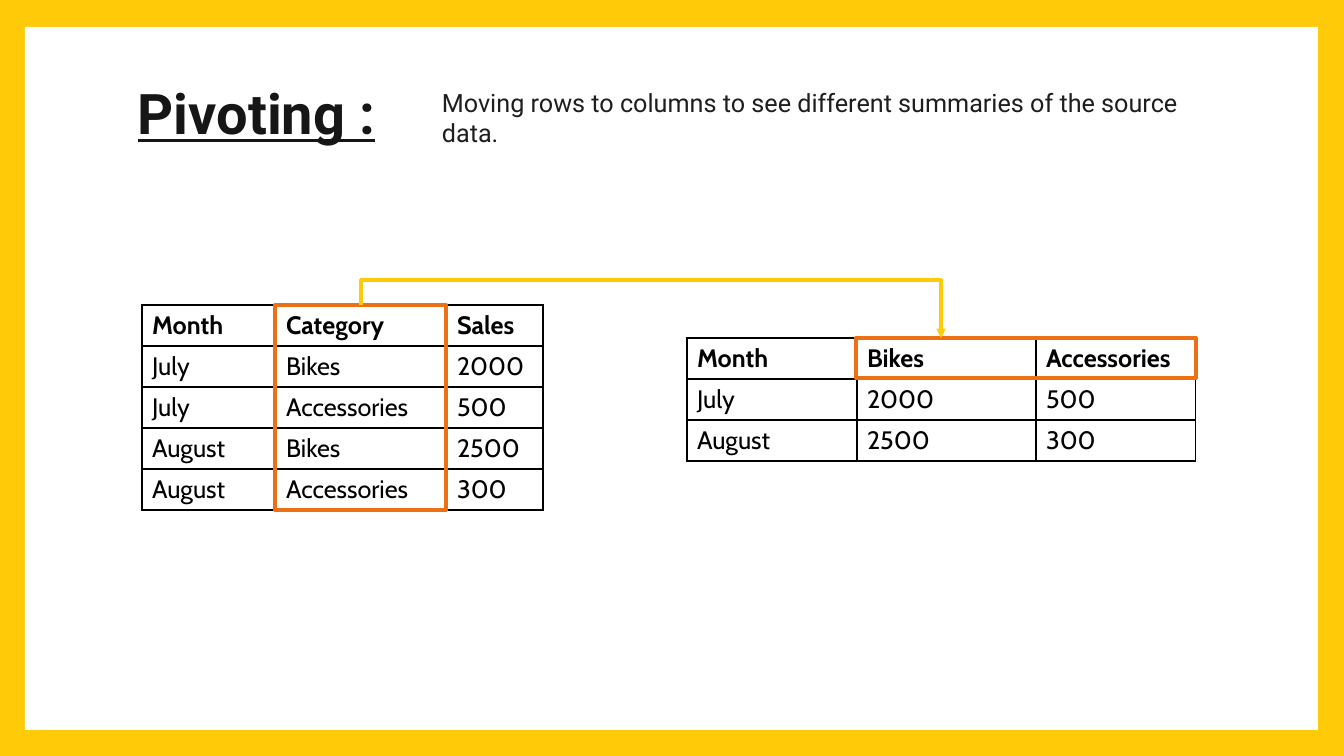
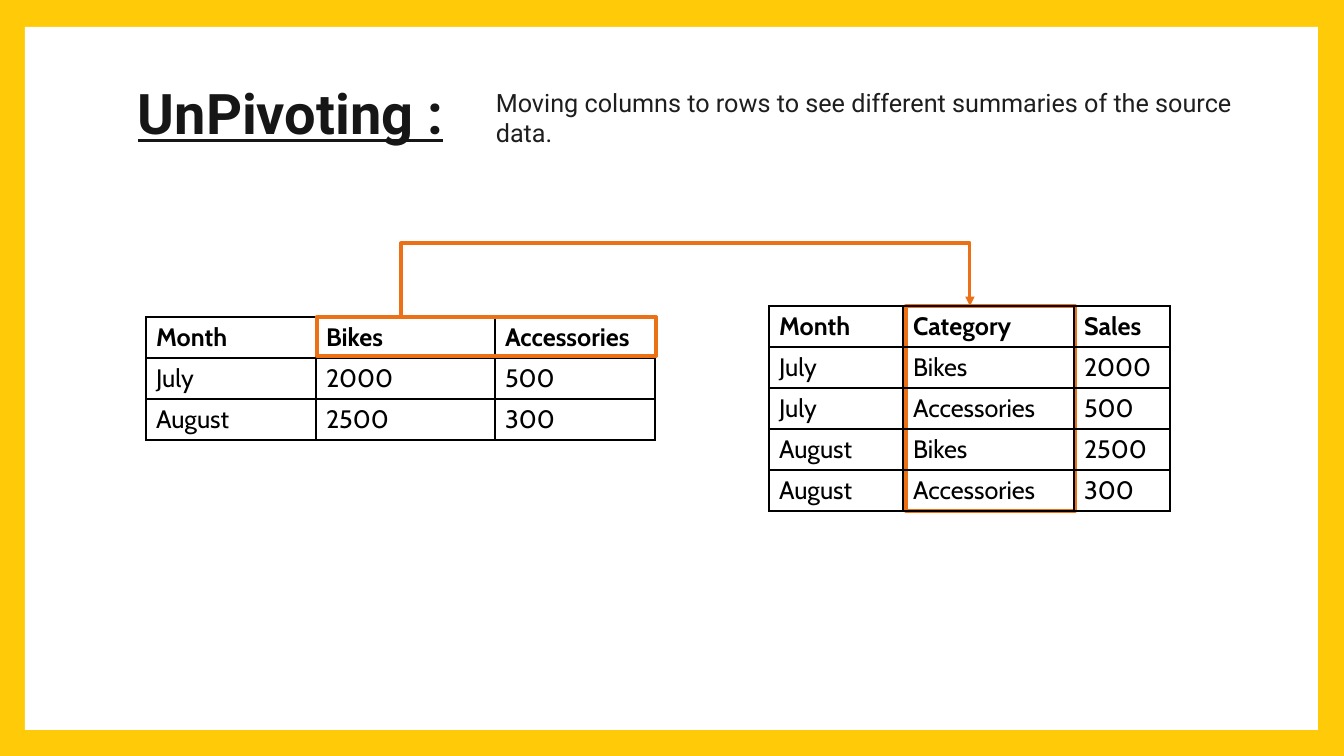
from dataclasses import dataclass

from lxml import etree
from pptx import Presentation
from pptx.dml.color import RGBColor
from pptx.enum.shapes import MSO_CONNECTOR as Link, MSO_SHAPE as Form
from pptx.enum.text import MSO_ANCHOR as Anchor
from pptx.oxml.ns import qn
from pptx.slide import Slide
from pptx.util import Emu, Pt

WIDTH, HEIGHT = 1344, 756
SCALE = 12192000 / WIDTH

YELLOW, ORANGE = "FFCA08", "EC7016"
WHITE, BLACK = "FFFFFF", "000000"
TITLE, BODY = "161616", "1E1E1E"
HEAD_FONT, GRID_FONT = "Roboto", "Cabin"
ROW = 41

LONG = [
    ["Month", "Category", "Sales"],
    ["July", "Bikes", "2000"],
    ["July", "Accessories", "500"],
    ["August", "Bikes", "2500"],
    ["August", "Accessories", "300"],
]
WIDE = [
    ["Month", "Bikes", "Accessories"],
    ["July", "2000", "500"],
    ["August", "2500", "300"],
]
LONG_COLS = [134, 171, 96]
WIDE_COLS = [170, 179, 160]


@dataclass
class Grid:
    left: int
    top: int
    cols: list[int]
    rows: list[list[str]]


@dataclass
class Box:
    left: int
    top: int
    width: int
    height: int


@dataclass
class Arrow:
    start: tuple[int, int]
    end: tuple[int, int]
    peak: int
    color: str


@dataclass
class Page:
    title: str
    note: str
    note_left: int
    layers: list[Grid | Box | Arrow]


PAGES = [
    Page(
        "Pivoting :",
        "Moving rows to columns to see different summaries of the source data.",
        432,
        [
            Grid(142, 305, LONG_COLS, LONG),
            Grid(687, 338, WIDE_COLS, WIDE),
            Box(275, 305, 171, 205),
            Box(856, 338, 340, 40),
            Arrow((361, 305), (941, 338), 280, YELLOW),
        ],
    ),
    Page(
        "UnPivoting :",
        "Moving columns to rows to see different summaries of the source data.",
        486,
        [
            Grid(146, 317, WIDE_COLS, WIDE),
            Box(317, 317, 339, 39),
            Box(906, 306, 169, 205),
            Arrow((401, 317), (970, 306), 243, ORANGE),
            Grid(769, 306, LONG_COLS, LONG),
        ],
    ),
]


def px(size: float) -> Emu:
    return Emu(round(size * SCALE))


def rgb(code: str) -> RGBColor:
    return RGBColor.from_string(code)


def style(para, font: str, size: int, color: str, bold: bool = False) -> None:
    for run in para.runs:
        run.font.name = font
        run.font.size = Pt(size)
        run.font.bold = bold
        run.font.color.rgb = rgb(color)


def add_rect(slide: Slide, box: Box, fill: str = "", line: str = "") -> None:
    rect = slide.shapes.add_shape(
        Form.RECTANGLE, px(box.left), px(box.top), px(box.width), px(box.height))
    rect.shadow.inherit = False
    if fill:
        rect.fill.solid()
        rect.fill.fore_color.rgb = rgb(fill)
    else:
        rect.fill.background()
    if line:
        rect.line.color.rgb = rgb(line)
        rect.line.width = Pt(3)
    else:
        rect.line.fill.background()


def add_text(slide: Slide, box: Box, text: str):
    frame = slide.shapes.add_textbox(
        px(box.left), px(box.top), px(box.width), px(box.height)).text_frame
    frame.word_wrap = True
    frame.text = text
    return frame


def add_border(cell) -> None:
    props = cell._tc.get_or_add_tcPr()
    for spot, side in enumerate(("lnL", "lnR", "lnT", "lnB")):
        line = etree.Element(qn(f"a:{side}"), w=str(Pt(1)))
        fill = etree.SubElement(line, qn("a:solidFill"))
        etree.SubElement(fill, qn("a:srgbClr"), val=BLACK)
        props.insert(spot, line)


def add_grid(slide: Slide, grid: Grid) -> None:
    count = len(grid.rows)
    table = slide.shapes.add_table(
        count, len(grid.cols), px(grid.left), px(grid.top),
        px(sum(grid.cols)), px(ROW * count)).table
    table.first_row = table.horz_banding = False
    for col, width in zip(table.columns, grid.cols):
        col.width = px(width)
    for r, texts in enumerate(grid.rows):
        table.rows[r].height = px(ROW)
        for c, text in enumerate(texts):
            cell = table.cell(r, c)
            cell.text_frame.text = text
            style(cell.text_frame.paragraphs[0], GRID_FONT, 18, BLACK, r == 0)
            cell.fill.background()
            add_border(cell)


def add_arrow(slide: Slide, arrow: Arrow) -> None:
    (x1, y1), (x2, y2) = arrow.start, arrow.end
    drop = y2 - y1
    link = slide.shapes.add_connector(
        Link.ELBOW, px(x1), px(y1), px(x2), px(y2))
    link.line.color.rgb = rgb(arrow.color)
    link.line.width = Pt(2.25)

    # Turn the elbow on its side so that both ends run vertically
    span, rise = x2 - x1, abs(drop)
    link.left = px((x1 + x2 - rise) / 2)
    link.top = px((y1 + y2 - span) / 2)
    link.width, link.height = px(rise), px(span)
    props = link._element.spPr
    frame = props.find(qn("a:xfrm"))
    frame.set("rot", str((270 if drop > 0 else 90) * 60000))
    frame.set("flipH", "1")
    frame.set("flipV", "0" if drop > 0 else "1")

    # Height of the level stretch, as a share of the drop
    shape = props.find(qn("a:prstGeom"))
    bends = shape.find(qn("a:avLst"))
    if bends is None:
        bends = etree.SubElement(shape, qn("a:avLst"))
    share = round((arrow.peak - y1) / drop * 100000)
    etree.SubElement(bends, qn("a:gd"), name="adj1", fmla=f"val {share}")

    etree.SubElement(props.find(qn("a:ln")), qn("a:tailEnd"), type="triangle")
    etree.SubElement(props, qn("a:effectLst"))


def add_page(deck, page: Page) -> None:
    slide = deck.slides.add_slide(deck.slide_layouts[6])
    add_rect(slide, Box(25, 27, 1293, 703), fill=WHITE)

    # Title and note
    head = add_text(slide, Box(128, 59, 414, 115), page.title)
    head.vertical_anchor = Anchor.MIDDLE
    para = head.paragraphs[0]
    para.line_spacing = 0.9
    style(para, HEAD_FONT, 40, TITLE, True)
    para.runs[0].font.underline = True
    note = add_text(slide, Box(page.note_left, 82, 764, 72), page.note)
    style(note.paragraphs[0], HEAD_FONT, 18, BODY)

    # Tables, outlines and arrows, from back to front
    for layer in page.layers:
        if isinstance(layer, Grid):
            add_grid(slide, layer)
        elif isinstance(layer, Box):
            add_rect(slide, layer, line=ORANGE)
        else:
            add_arrow(slide, layer)


def main() -> None:
    deck = Presentation()
    deck.slide_width, deck.slide_height = px(WIDTH), px(HEIGHT)
    back = deck.slide_master.background.fill
    back.solid()
    back.fore_color.rgb = rgb(YELLOW)
    for page in PAGES:
        add_page(deck, page)
    deck.save("out.pptx")


if __name__ == "__main__":
    main()
